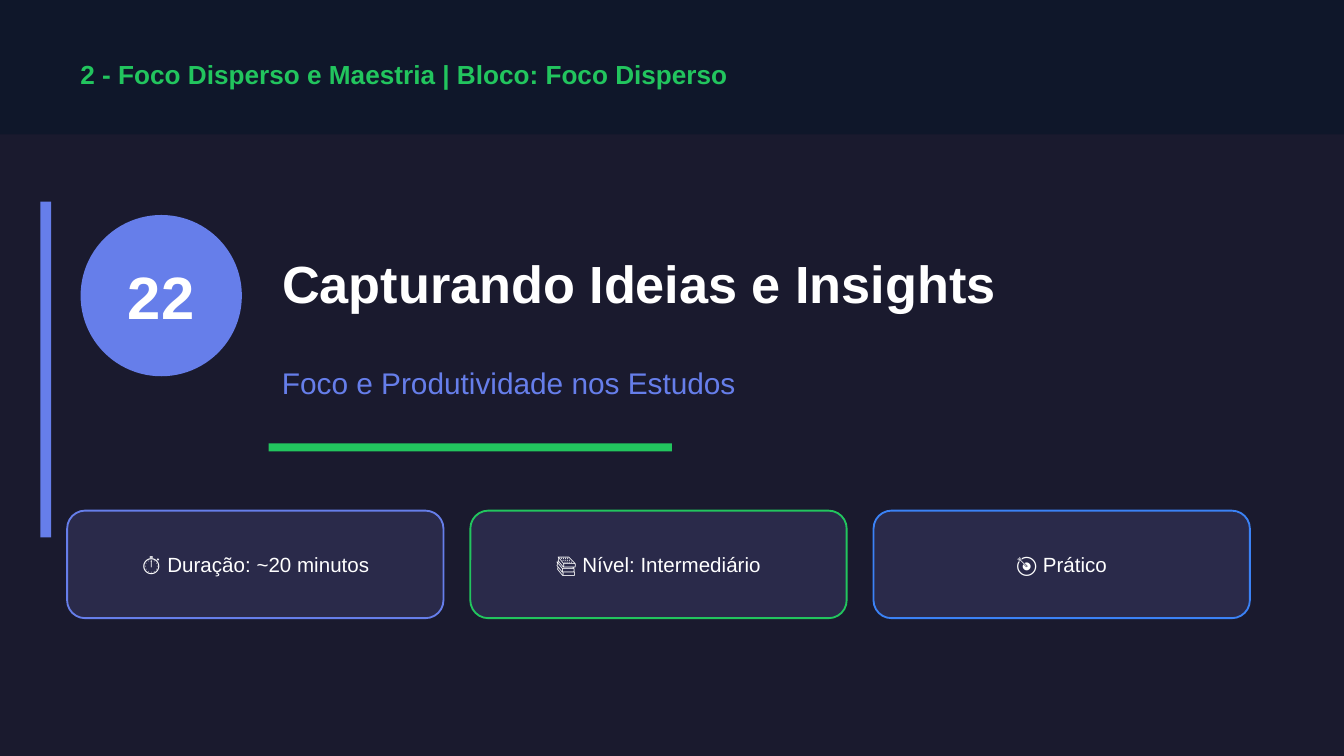
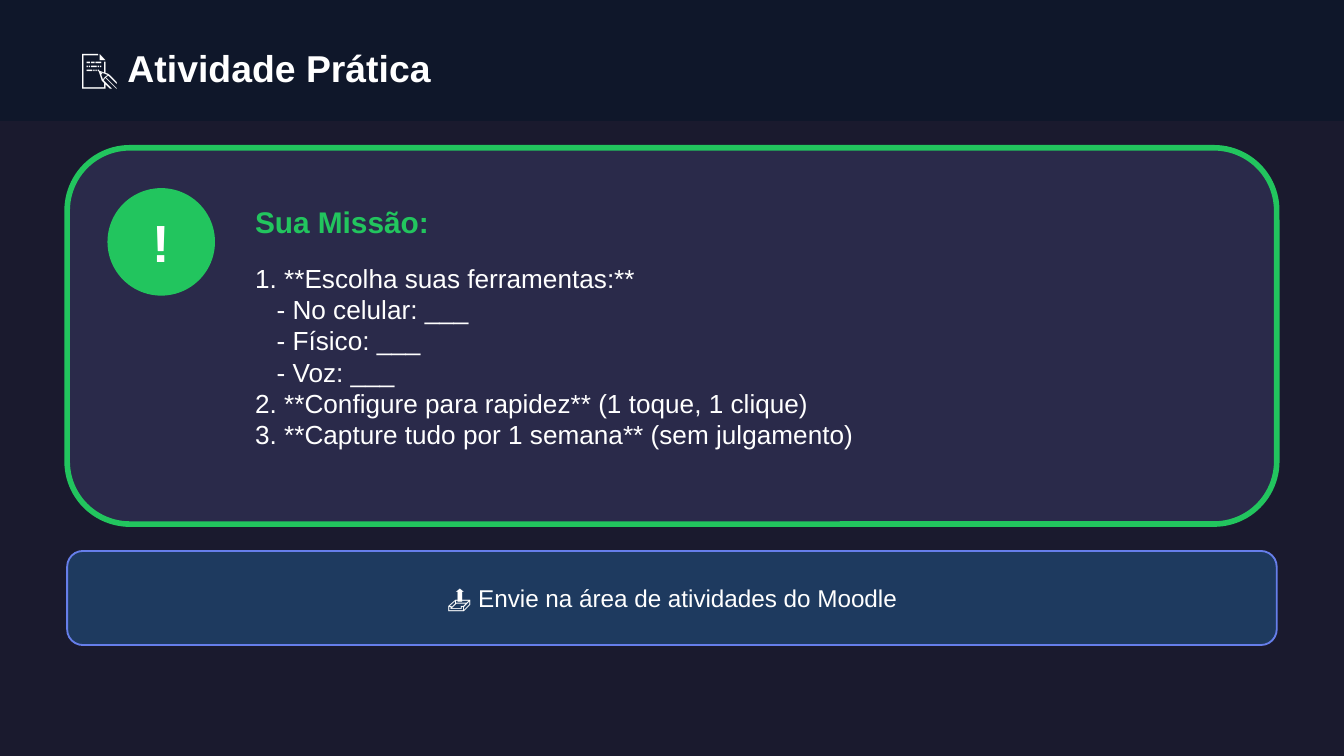
from pptx import Presentation
from pptx.dml.color import RGBColor
from pptx.enum.shapes import MSO_SHAPE
from pptx.enum.text import MSO_ANCHOR, MSO_AUTO_SIZE, PP_ALIGN
from pptx.util import Inches, Pt

RECTANGLE, ROUNDED, OVAL = MSO_SHAPE.RECTANGLE, MSO_SHAPE.ROUNDED_RECTANGLE, MSO_SHAPE.OVAL
LEFT, CENTER = PP_ALIGN.LEFT, PP_ALIGN.CENTER
TOP, MIDDLE = MSO_ANCHOR.TOP, MSO_ANCHOR.MIDDLE
NO_AUTOFIT = MSO_AUTO_SIZE.NONE

BACKGROUND = RGBColor(0x1A, 0x1A, 0x2E)
BAND = RGBColor(0x0F, 0x17, 0x2A)
CARD = RGBColor(0x2A, 0x2A, 0x4A)
NAVY = RGBColor(0x1E, 0x3A, 0x5F)
GREEN = RGBColor(0x22, 0xC5, 0x5E)
INDIGO = RGBColor(0x66, 0x7E, 0xEA)
BLUE = RGBColor(0x3B, 0x82, 0xF6)
WHITE = RGBColor(0xFF, 0xFF, 0xFF)

FONT = "Arial"
SLIDE_WIDTH = 10
MARGIN = 0.5
CONTENT_WIDTH = SLIDE_WIDTH - 2 * MARGIN
SUB_ITEM_INDENT = 0.16


class Deck:
    def __init__(self):
        self.presentation = Presentation()
        self.presentation.slide_width = Inches(SLIDE_WIDTH)
        self.presentation.slide_height = Inches(SLIDE_WIDTH * 9 / 16)
        self.slide = None

    def add_slide(self, band_height):
        """Start a title-only slide with the dark background and top band."""
        layout = self.presentation.slide_layouts.get_by_name("Title Only")
        self.slide = self.presentation.slides.add_slide(layout)
        fill = self.slide.background.fill
        fill.solid()
        fill.fore_color.rgb = BACKGROUND
        self.shape(RECTANGLE, 0, 0, SLIDE_WIDTH, band_height, BAND)

    def shape(self, kind, left, top, width, height, fill, line=None, line_width=1):
        shape = self.slide.shapes.add_shape(
            kind, Inches(left), Inches(top), Inches(width), Inches(height))
        shape.shadow.inherit = False
        shape.fill.solid()
        shape.fill.fore_color.rgb = fill
        if line is None:
            shape.line.fill.background()
        else:
            shape.line.color.rgb = line
            shape.line.width = Pt(line_width)

    def title(self, text, left, top, width, height, size):
        title = self.slide.shapes.title
        title.left, title.top = Inches(left), Inches(top)
        title.width, title.height = Inches(width), Inches(height)
        title._element.getparent().append(title._element)  # above the band
        self.fill_frame(title.text_frame, [text], size, WHITE, bold=True)

    def text(self, lines, left, top, width, height, size, color=WHITE, **style):
        """Add a text box; lines is one string or a list of paragraphs."""
        box = self.slide.shapes.add_textbox(
            Inches(left), Inches(top), Inches(width), Inches(height))
        lines = [lines] if isinstance(lines, str) else lines
        self.fill_frame(box.text_frame, lines, size, color, **style)

    def fill_frame(self, frame, lines, size, color, bold=False, align=LEFT, anchor=MIDDLE):
        frame.word_wrap = True
        frame.auto_size = NO_AUTOFIT
        frame.vertical_anchor = anchor
        for index, line in enumerate(lines):
            paragraph = frame.add_paragraph() if index else frame.paragraphs[0]
            paragraph.text = line
            paragraph.alignment = align
            if line.startswith("- "):
                properties = paragraph._p.get_or_add_pPr()
                properties.set("marL", str(Inches(SUB_ITEM_INDENT)))
            font = paragraph.font
            font.name, font.size, font.bold = FONT, Pt(size), bold
            font.color.rgb = color

    def badge(self, text, left, top, diameter, text_top, text_height, size, fill):
        self.shape(OVAL, left, top, diameter, diameter, fill)
        self.text(text, left, text_top, diameter, text_height, size,
                  bold=True, align=CENTER)

    def card(self, text, left, top, width, height, text_height, size, fill, line):
        self.shape(ROUNDED, left, top, width, height, fill, line)
        self.text(text, left, top + 0.15, width, text_height, size, align=CENTER)


def build_cover(deck):
    deck.add_slide(band_height=1)
    deck.text("2 - Foco Disperso e Maestria | Bloco: Foco Disperso",
              MARGIN, 0.35, CONTENT_WIDTH, 0.4, 14, GREEN, bold=True)
    deck.shape(RECTANGLE, 0.3, 1.5, 0.08, 2.5, INDIGO)
    deck.badge("22", 0.6, 1.6, 1.2, 1.85, 0.7, 32, INDIGO)
    deck.title("Capturando Ideias e Insights", 2, 1.6, 7.5, 1, 28)
    deck.text("Foco e Produtividade nos Estudos", 2, 2.6, 7.5, 0.5, 16, INDIGO)
    deck.shape(RECTANGLE, 2, 3.3, 3, 0.06, GREEN)

    card_width, gap = 2.8, 0.2
    facts = [("⏱ Duração: ~20 minutos", INDIGO),
             ("📚 Nível: Intermediário", GREEN),
             ("🎯 Prático", BLUE)]
    for index, (fact, outline) in enumerate(facts):
        left = MARGIN + index * (card_width + gap)
        deck.card(fact, left, 3.8, card_width, 0.8, 0.5, 11, CARD, outline)


def build_activity(deck):
    deck.add_slide(band_height=0.9)
    deck.title("📝 Atividade Prática", MARGIN, 0.25, CONTENT_WIDTH, 0.5, 20)
    deck.shape(ROUNDED, MARGIN, 1.1, CONTENT_WIDTH, 2.8, CARD, GREEN, 3)
    deck.badge("!", 0.8, 1.4, 0.8, 1.5, 0.6, 28, GREEN)
    deck.text("Sua Missão:", 1.8, 1.4, 7.5, 0.5, 16, GREEN, bold=True)
    steps = ["1. **Escolha suas ferramentas:**",
             "- No celular: ___",
             "- Físico: ___",
             "- Voz: ___",
             "2. **Configure para rapidez** (1 toque, 1 clique)",
             "3. **Capture tudo por 1 semana** (sem julgamento)"]
    deck.text(steps, 1.8, 1.9, 7.4, 1.8, 14, anchor=TOP)
    deck.card("📤 Envie na área de atividades do Moodle",
              MARGIN, 4.1, CONTENT_WIDTH, 0.7, 0.4, 13, NAVY, INDIGO)


def main():
    deck = Deck()
    build_cover(deck)
    build_activity(deck)
    deck.presentation.save("out.pptx")


if __name__ == "__main__":
    main()
